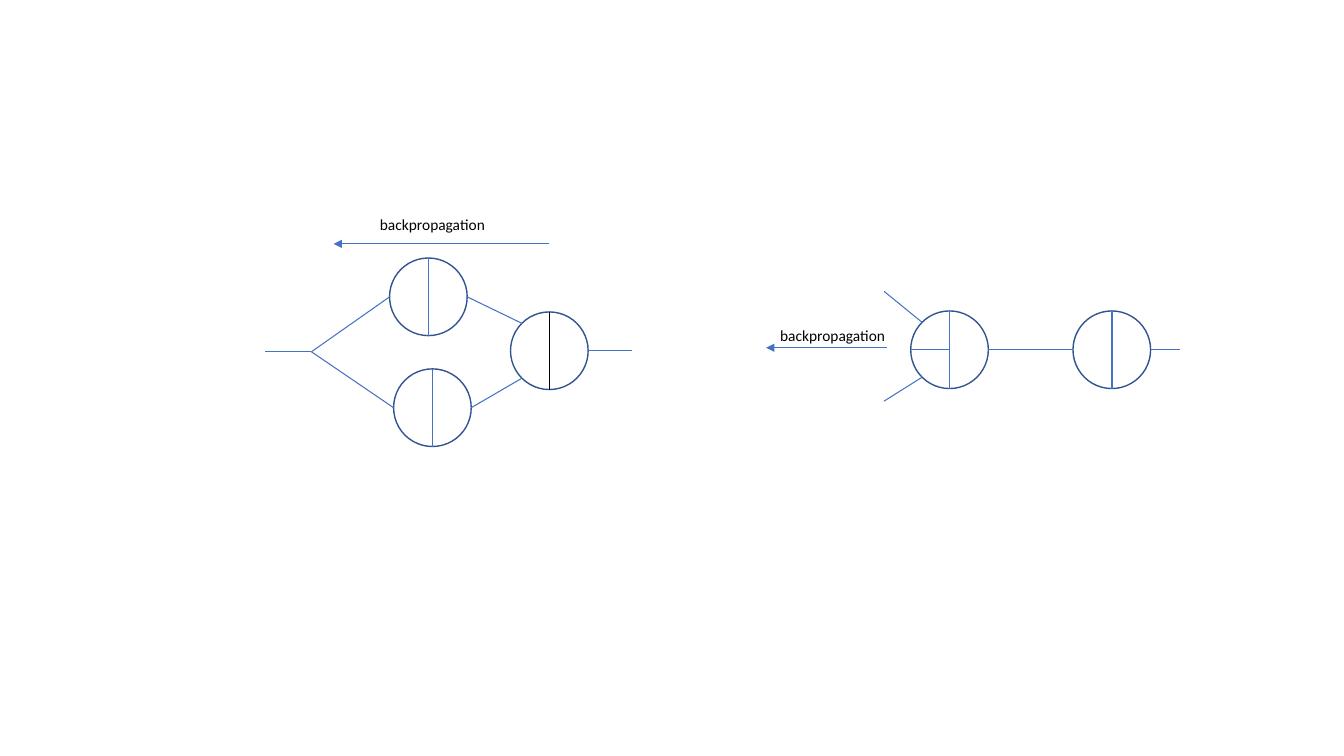
import math
from dataclasses import dataclass

import lxml.etree
import pptx
import pptx.dml.color
import pptx.enum.shapes
import pptx.enum.text
import pptx.oxml.ns
import pptx.util


@dataclass(frozen=True)
class Theme:
    paper: str = "FFFFFF"
    ink: str = "000000"
    rim: str = "325491"
    edge: str = "4472C4"
    font: str = "Calibri"
    label_size: float = 11
    thin: float = 0.5
    medium: float = 0.75
    thick: float = 1


THEME = Theme()
COLUMNS, ROWS = 133.33, 75
CELL = pptx.util.Inches(7.5) / ROWS
RADIUS = 3.85
LABEL_SIZE = (12.5, 2.9)


def cells(*values):
    return [pptx.util.Emu(round(value * CELL)) for value in values]


def color(value):
    return pptx.dml.color.RGBColor.from_string(value)


def set_values(target, values):
    for name, value in values.items():
        setattr(target, name, value)


def style_line(line, line_color, width):
    line.color.rgb = color(line_color)
    line.width = pptx.util.Pt(width)


def rim_point(center, degrees):
    """Point on a neuron's rim, with angles clockwise from the right."""
    angle = math.radians(degrees)
    return center[0] + RADIUS * math.cos(angle), center[1] + RADIUS * math.sin(angle)


def add_neuron(group, center):
    x, y = center
    neuron = group.shapes.add_shape(
        pptx.enum.shapes.MSO_SHAPE.OVAL,
        *cells(x - RADIUS, y - RADIUS, 2 * RADIUS, 2 * RADIUS))
    neuron.shadow.inherit = False
    neuron.fill.solid()
    neuron.fill.fore_color.rgb = color(THEME.paper)
    style_line(neuron.line, THEME.rim, THEME.thick)


def add_line(group, start, end, width=THEME.medium, line_color=THEME.edge, arrow=False):
    connector = group.shapes.add_connector(
        pptx.enum.shapes.MSO_CONNECTOR.STRAIGHT, *cells(*start, *end))
    style_line(connector.line, line_color, width)
    qn = pptx.oxml.ns.qn
    if arrow:
        outline = connector.line._get_or_add_ln()
        lxml.etree.SubElement(outline, qn("a:tailEnd"), type="triangle")
    lxml.etree.SubElement(connector._element.spPr, qn("a:effectLst"))


def add_divider(group, center, width, line_color=THEME.edge):
    add_line(group, rim_point(center, -90), rim_point(center, 90), width, line_color)


def add_label(group, corner, text):
    box = group.shapes.add_textbox(*cells(*corner, *LABEL_SIZE))
    set_values(box.text_frame, {
        "word_wrap": False,
        "auto_size": pptx.enum.text.MSO_AUTO_SIZE.SHAPE_TO_FIT_TEXT,
    })
    paragraph = box.text_frame.paragraphs[0]
    run = paragraph.add_run()
    run.text = text
    set_values(run.font, {"name": THEME.font, "size": pptx.util.Pt(THEME.label_size)})
    run.font.color.rgb = color(THEME.ink)


def add_branching_network(slide):
    """One input splits to two neurons, which join in an output neuron."""
    group = slide.shapes.add_group_shape()
    upper, lower, output = (42.5, 29.45), (42.9, 40.45), (54.5, 34.8)
    split = (30.9, 34.9)
    for center in (upper, lower, output):
        add_neuron(group, center)
    for center in (upper, lower):
        add_divider(group, center, THEME.thin)
    add_divider(group, output, THEME.thin, THEME.ink)
    for center, degrees in ((upper, 225), (lower, 135)):
        add_line(group, rim_point(center, 0), rim_point(output, degrees))
        add_line(group, rim_point(center, 180), split)
    add_line(group, (26.3, split[1]), split)
    add_line(group, rim_point(output, 0), (62.7, output[1]))
    add_line(group, (54.5, 24.2), (33.1, 24.2), arrow=True)
    add_label(group, (36.7, 20.8), "backpropagation")


def add_chained_network(slide):
    """Two inputs meet in a neuron that feeds a second neuron."""
    group = slide.shapes.add_group_shape()
    first, second = (94.2, 34.7), (110.3, 34.7)
    for center in (second, first):
        add_neuron(group, center)
    for center in (second, first):
        add_divider(group, center, THEME.thick)
    add_line(group, first, rim_point(first, 180), THEME.thick)
    for degrees, input_end in ((225, (87.7, 28.9)), (135, (87.7, 39.8))):
        add_line(group, rim_point(first, degrees), input_end)
    add_line(group, rim_point(first, 0), rim_point(second, 180))
    add_line(group, rim_point(second, 0), (117.1, second[1]))
    add_line(group, (88, 34.5), (76, 34.5), THEME.thin, arrow=True)
    add_label(group, (76.4, 31.9), "backpropagation")


def main():
    presentation = pptx.Presentation()
    width, height = cells(COLUMNS, ROWS)
    set_values(presentation, {"slide_width": width, "slide_height": height})
    slide = presentation.slides.add_slide(presentation.slide_layouts[6])
    add_branching_network(slide)
    add_chained_network(slide)
    presentation.save("out.pptx")


if __name__ == "__main__":
    main()
